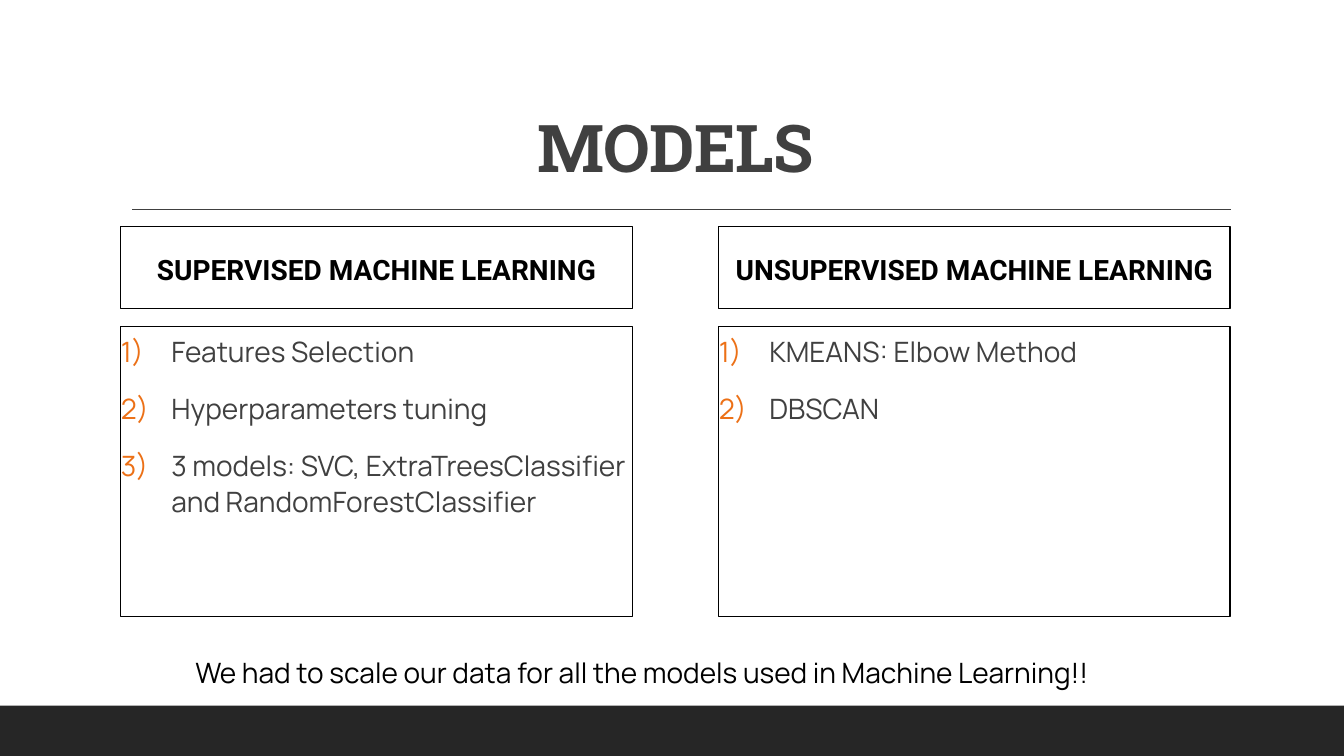
from dataclasses import dataclass

from lxml.etree import SubElement
from pptx import Presentation
from pptx.dml.color import RGBColor
from pptx.enum.shapes import MSO_CONNECTOR, MSO_SHAPE
from pptx.enum.text import MSO_ANCHOR, PP_ALIGN
from pptx.oxml.ns import qn
from pptx.shapes.autoshape import Shape
from pptx.slide import Slide
from pptx.util import Inches, Pt

INK = "404040"
BLACK = "000000"
ACCENT = "EC7016"
FOOTER = "262626"
COLUMN_WIDTH = 5.07


@dataclass(frozen=True)
class LearningColumn:
    left: float
    heading: str
    steps: tuple[str, ...]


COLUMNS = (
    LearningColumn(1.2, "SUPERVISED MACHINE LEARNING", (
        "Features Selection",
        "Hyperparameters tuning",
        "3 models: SVC, ExtraTreesClassifier and RandomForestClassifier",
    )),
    LearningColumn(7.13, "UNSUPERVISED MACHINE LEARNING", (
        "KMEANS: Elbow Method",
        "DBSCAN",
    )),
)


def color(value: str) -> RGBColor:
    return RGBColor.from_string(value)


def add_box(slide: Slide, left: float, top: float, width: float, height: float,
            fill: str | None = None, outline: str | None = None) -> Shape:
    box = slide.shapes.add_shape(
        MSO_SHAPE.RECTANGLE, Inches(left), Inches(top), Inches(width), Inches(height))
    box.shadow.inherit = False
    if fill:
        box.fill.solid()
        box.fill.fore_color.rgb = color(fill)
    else:
        box.fill.background()
    if outline:
        box.line.color.rgb = color(outline)
        box.line.width = Pt(0.75)
    else:
        box.line.fill.background()
    return box


def write_text(holder: Shape, *lines: str, font: str = "Manrope", size: float = 20,
               ink: str = BLACK, bold: bool = False, align: PP_ALIGN = PP_ALIGN.LEFT,
               anchor: MSO_ANCHOR = MSO_ANCHOR.TOP, line_spacing: float = 1.0,
               side_inset: float = 0.1, tracking: float = 0, numbered: bool = False) -> None:
    frame = holder.text_frame
    frame.word_wrap = True
    frame.vertical_anchor = anchor
    frame.margin_left = frame.margin_right = Inches(side_inset)
    for index, line in enumerate(lines):
        paragraph = frame.add_paragraph() if index else frame.paragraphs[0]
        if numbered:
            add_number(paragraph._p.get_or_add_pPr())
            paragraph.space_after = Pt(2)
        if index:
            paragraph.space_before = Pt(12)
        paragraph.alignment = align
        paragraph.line_spacing = line_spacing
        run = paragraph.add_run()
        run.text = line
        run.font.name = font
        run.font.size = Pt(size)
        run.font.bold = bold
        run.font.color.rgb = color(ink)
        if tracking:
            run.font._element.set("spc", str(round(tracking * 100)))


def add_number(properties) -> None:
    properties.set("marL", str(Inches(0.5)))
    properties.set("indent", str(Inches(-0.5)))
    bullet_color = SubElement(properties, qn("a:buClr"))
    SubElement(bullet_color, qn("a:srgbClr"), val=ACCENT)
    SubElement(properties, qn("a:buAutoNum"), type="arabicParenR")


def add_rule(slide: Slide, left: float, right: float, y: float) -> None:
    rule = slide.shapes.add_connector(
        MSO_CONNECTOR.STRAIGHT, Inches(left), Inches(y), Inches(right), Inches(y))
    rule.line.color.rgb = color(INK)
    rule.line.width = Pt(1)
    SubElement(rule._element.spPr, qn("a:effectLst"))


def add_column(slide: Slide, column: LearningColumn) -> None:
    heading = add_box(slide, column.left, 2.25, COLUMN_WIDTH, 0.81, outline=BLACK)
    write_text(heading, column.heading, font="Roboto", bold=True, align=PP_ALIGN.CENTER,
               anchor=MSO_ANCHOR.MIDDLE, line_spacing=1.1)
    steps = add_box(slide, column.left, 3.24, COLUMN_WIDTH, 2.88, outline=BLACK)
    write_text(steps, *column.steps, ink=INK, line_spacing=1.1, side_inset=0, numbered=True)


def main() -> None:
    deck = Presentation()
    deck.slide_width = Inches(13.33)
    deck.slide_height = Inches(7.5)
    slide = deck.slides.add_slide(deck.slide_layouts[6])

    add_box(slide, 0, 7, 13.33, 0.5, fill=FOOTER)
    add_rule(slide, 1.31, 12.21, 2.08)

    title = slide.shapes.add_textbox(Inches(1.2), Inches(0.31), Inches(11), Inches(1.59))
    write_text(title, "MODELS", font="Roboto Slab", size=47, ink=INK, bold=True,
               align=PP_ALIGN.CENTER, anchor=MSO_ANCHOR.BOTTOM, line_spacing=0.9, tracking=-0.5)

    for column in COLUMNS:
        add_column(slide, column)

    scaling_note = slide.shapes.add_textbox(
        Inches(1.84), Inches(6.45), Inches(10.2), Inches(0.44))
    write_text(scaling_note,
               "We had to scale our data for all the models used in Machine Learning!!")

    deck.save("out.pptx")


if __name__ == "__main__":
    main()
